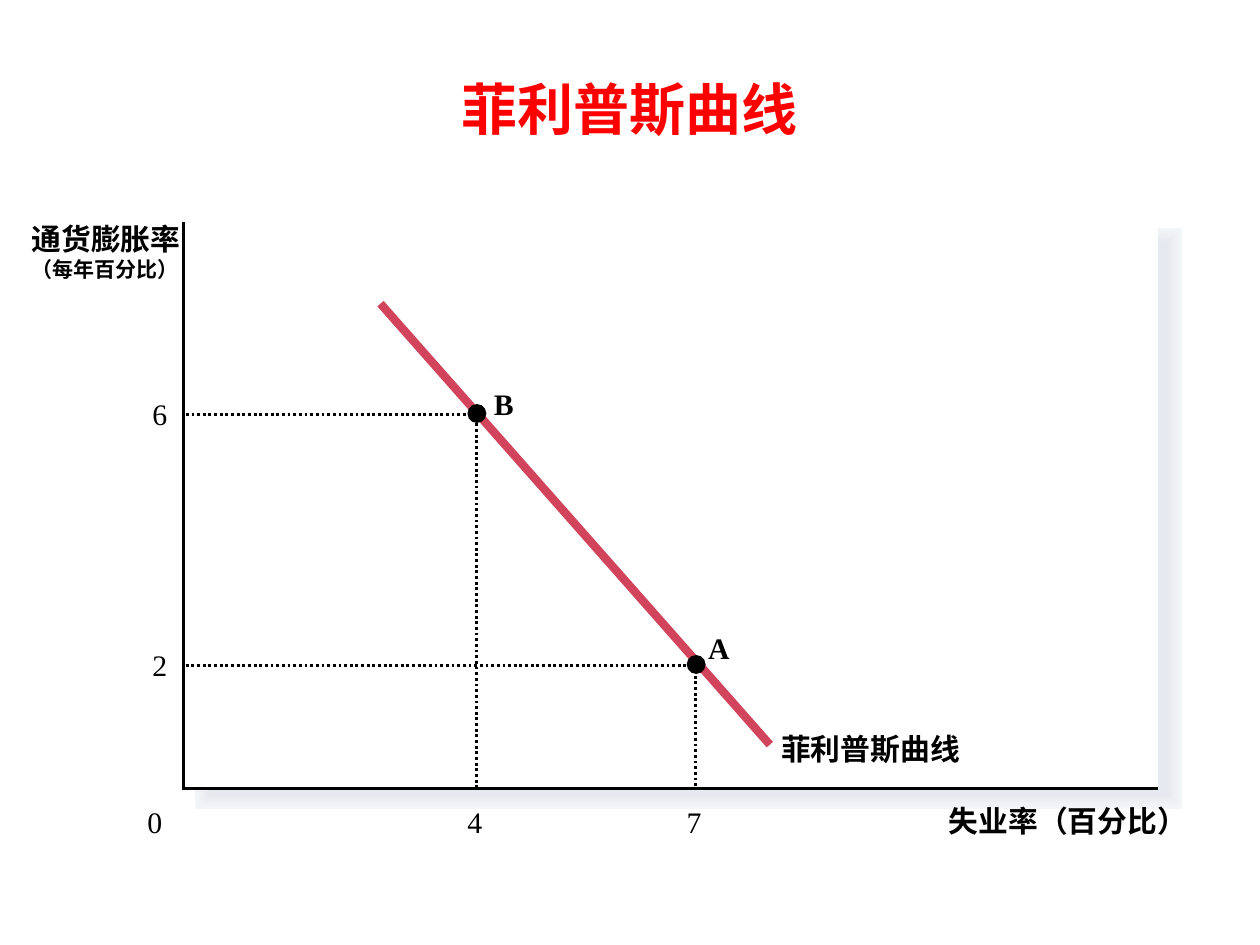
from pptx import Presentation
from pptx.dml.color import RGBColor as Rgb
from pptx.enum.dml import MSO_LINE as Dash
from pptx.enum.shapes import MSO_CONNECTOR as Connector, MSO_SHAPE as Shape
from pptx.enum.text import MSO_ANCHOR as Anchor, MSO_AUTO_SIZE as AutoSize, PP_ALIGN as Align
from pptx.oxml.ns import qn
from pptx.util import Inches, Pt
from lxml.etree import SubElement

COLOURS = {"ink": "000000", "title": "FF0000", "curve": "D2435C", "paper": "FFFFFF"}
SHADOW = ["F3F6F9", "F2F4F8", "F1F4F7", "F0F2F5", "EEF1F4", "EDEFF3",
          "EBEEF2", "EAECF1", "E9EBF0", "E7EAEF", "E6E9EF"]
COLUMNS, ROWS = 100, 75
LEFT, RIGHT, TOP, BOTTOM = 14.55, 91.9, 17.6, 62.6


class Diagram:
    """Draws on one slide; every length is in grid columns and rows."""
    latin, chinese = "Times New Roman", "Noto Sans CJK SC"

    def __init__(self):
        self.deck = Presentation()
        self.deck.slide_width, self.deck.slide_height = Inches(10), Inches(7.5)
        self.page = self.deck.slides.add_slide(self.deck.slide_layouts[6])

    def place(self, *lengths):
        """Turn alternating columns and rows into slide units."""
        cells = self.deck.slide_width / COLUMNS, self.deck.slide_height / ROWS
        return [round(length * cells[i % 2]) for i, length in enumerate(lengths)]

    def shape(self, kind, area, colour, border=None):
        shape = self.page.shapes.add_shape(kind, *self.place(*area))
        shape.shadow.inherit = False
        shape.fill.solid()
        shape.fill.fore_color.rgb = Rgb.from_string(colour)
        if border:
            self.stroke(shape, colour, border)
        else:
            shape.line.fill.background()

    def stroke(self, shape, colour, width):
        """Give a shape a plain line with sharp corners."""
        shape.line.color.rgb = Rgb.from_string(colour)
        shape.line.width = Pt(width)
        outline = shape._element.spPr.find(qn("a:ln"))
        SubElement(outline, qn("a:miter")).set("lim", "800000")

    def path_line(self, points, dash=None):
        start, *rest = [self.place(*point) for point in points]
        builder = self.page.shapes.build_freeform(*start)
        builder.add_line_segments(rest, close=False)
        outline = builder.convert_to_shape()
        outline.shadow.inherit = False
        outline.fill.background()
        self.stroke(outline, COLOURS["ink"], 1.62)
        if dash:
            outline.line.dash_style = dash

    def straight(self, start, end, colour, width):
        line = self.page.shapes.add_connector(
            Connector.STRAIGHT, *self.place(*start, *end))
        self.stroke(line, colour, width)
        SubElement(line._element.spPr, qn("a:effectLst"))

    def text(self, area, *lines, bold=False, colour=COLOURS["ink"], font=latin):
        """Write (wording, size) lines without margins or wrapping."""
        box = self.page.shapes.add_textbox(*self.place(*area))
        frame = box.text_frame
        frame.word_wrap = False
        frame.auto_size = AutoSize.SHAPE_TO_FIT_TEXT
        frame.margin_left = frame.margin_right = 0
        frame.margin_top = frame.margin_bottom = 0
        for i, (wording, size) in enumerate(lines):
            para = frame.add_paragraph() if i else frame.paragraphs[0]
            para.text = wording
            para.font.size, para.font.bold, para.font.name = Pt(size), bold, font
            para.font.color.rgb = Rgb.from_string(colour)
            for span in para.runs:
                east_asian = SubElement(span.font._element, qn("a:ea"))
                east_asian.set("typeface", self.chinese)
        return frame

    def title(self, wording):
        frame = self.text((0, 0, COLUMNS, 18.2), (wording, 32), bold=True,
                          colour=COLOURS["title"], font=self.chinese)
        frame.word_wrap, frame.auto_size = True, AutoSize.NONE
        frame.vertical_anchor = Anchor.MIDDLE
        frame.paragraphs[0].alignment = Align.CENTER
        frame.paragraphs[0].line_spacing = 0.8

    def number(self, column, row, wording):
        self.text((column, row, 1.2, 2.8), (wording, 17))

    def plot_area(self):
        for i, colour in enumerate(SHADOW):
            self.shape(Shape.RECTANGLE, (16.7, 19.3, 75.9, 43.7), colour,
                       round(17.25 - 1.56 * i, 2))
        self.shape(Shape.RECTANGLE, (LEFT, TOP, RIGHT - LEFT, BOTTOM - TOP),
                   COLOURS["paper"])
        self.path_line([(LEFT, TOP), (LEFT, BOTTOM), (RIGHT, BOTTOM)])

    def point(self, name, unemployment, inflation, label_area):
        """Mark a point with dotted guides, axis values and its letter."""
        column, row = 14.6 + 5.8 * unemployment, 62.75 - 4.98 * inflation
        self.path_line([(LEFT + 0.2, row), (column, row), (column, BOTTOM)],
                       Dash.ROUND_DOT)
        self.shape(Shape.OVAL, (column - 0.7, row - 0.8, 1.5, 1.5), COLOURS["ink"])
        self.text(label_area, (name, 17), bold=True)
        self.number(column - 0.7, 63.8, str(unemployment))
        self.number(12.1, row - 1.45, str(inflation))


def main():
    diagram = Diagram()
    diagram.title("菲利普斯曲线")
    diagram.plot_area()
    diagram.text((75.3, 63.7, 19.1, 2.8), ("失业率（百分比）", 17), bold=True)
    diagram.text((2.5, 17.5, 12, 4.8), ("通货膨胀率", 17), ("（每年百分比）", 12),
                 bold=True)
    diagram.number(11.7, 63.8, "0")
    diagram.straight((30.2, 24.1), (61.1, 59.1), COLOURS["curve"], 4.75)
    diagram.text((62, 58, 14.3, 2.8), ("菲利普斯曲线", 17), bold=True)
    diagram.point("B", 4, 6, (39.2, 30.6, 1.6, 2.8))
    diagram.point("A", 7, 2, (56.2, 50, 1.7, 2.8))
    diagram.deck.save("out.pptx")


if __name__ == "__main__":
    main()
